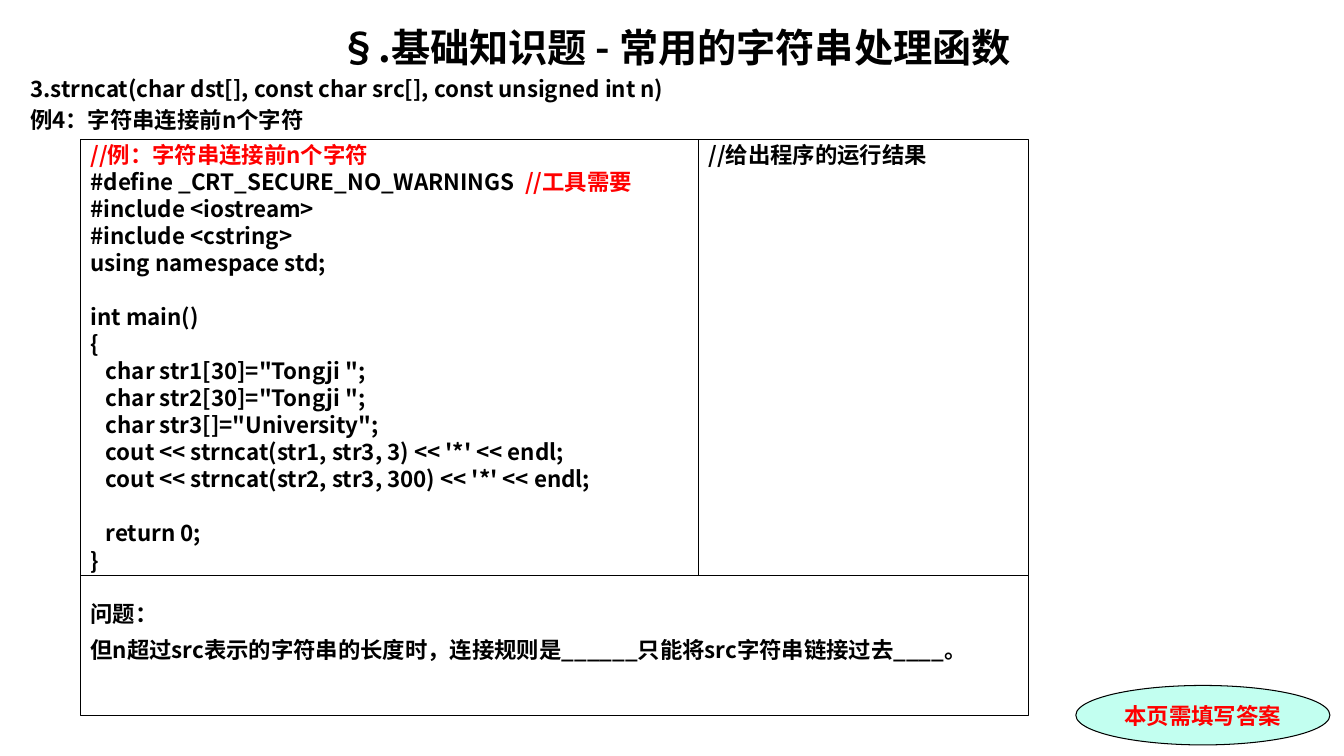
from pptx import Presentation, util as u
from pptx.dml.color import RGBColor
from pptx.enum import shapes, text
from pptx.oxml.ns import qn
from lxml import etree

BLACK = RGBColor(0, 0, 0)
RED = RGBColor(255, 0, 0)
MINT = RGBColor(0xC2, 0xFF, 0xF0)
SANS, SERIF = "Noto Sans CJK SC", "Times New Roman"
LEFT, ALIGN = text.PP_ALIGN.LEFT, text.PP_ALIGN
TOP, MIDDLE = text.MSO_ANCHOR.TOP, text.MSO_ANCHOR.MIDDLE
LINE = 19.3  # height of one text line in points

CODE = """#include <iostream>
#include <cstring>
using namespace std;

int main()
{
   char str1[30]="Tongji ";
   char str2[30]="Tongji ";
   char str3[]="University";
   cout << strncat(str1, str3, 3) << '*' << endl;
   cout << strncat(str2, str3, 300) << '*' << endl;

   return 0;
}"""


class Page:
    def __init__(self, slide, size=16):
        self.slide, self.size = slide, size

    def style(self, font, color, size, name):
        font.name, font.size, font.bold = name, u.Pt(size), True
        font.color.rgb = color

    def line(self, frame, words, color=BLACK, size=None, name=SANS,
             align=LEFT, gap=0):
        """Add one paragraph; words is a string or (string, color) pairs."""
        first = frame.paragraphs[0]
        para = first if not first.runs else frame.add_paragraph()
        para.alignment = align
        size = size or self.size
        para.line_spacing = u.Pt(LINE * size / 16)
        para.space_before = u.Pt(gap)
        mixed = not isinstance(words, str)
        for part, tint in words if mixed else [(words, color)]:
            run = para.add_run()
            run.text = part
            if mixed:
                run.font.color.rgb = tint
            east = etree.SubElement(run._r.get_or_add_rPr(), qn("a:ea"))
            east.set("typeface", SANS)
        self.style(para.font, color, size, name)

    def frame(self, shape, inset=0.05, anchor=TOP, wrap=False):
        frame = shape.text_frame
        frame.word_wrap, frame.vertical_anchor = wrap, anchor
        frame.margin_top = u.Inches(inset)
        return frame

    def label(self, *box):
        shape = self.slide.shapes.add_textbox(*map(u.Inches, box))
        return self.frame(shape, wrap=True)

    def shape(self, kind, box, fill=None, **opts):
        shape = self.slide.shapes.add_shape(kind, *map(u.Inches, box))
        shape.shadow.inherit = False
        if fill is None:
            shape.fill.background()
        else:
            shape.fill.solid()
            shape.fill.fore_color.rgb = fill
        shape.line.color.rgb, shape.line.width = BLACK, u.Pt(0.75)
        return self.frame(shape, **opts)


def main():
    deck = Presentation()
    deck.slide_width, deck.slide_height = u.Inches(13.33), u.Inches(7.5)
    page = Page(deck.slides.add_slide(deck.slide_layouts[6]))
    rect, oval = shapes.MSO_SHAPE.RECTANGLE, shapes.MSO_SHAPE.OVAL

    # Title and topic
    head = page.label(0.2, 0.18, 12.99, 1.2)
    page.line(head, "§.基础知识题 - 常用的字符串处理函数", size=28,
              align=ALIGN.CENTER)
    for topic in ("3.strncat(char dst[], const char src[], const unsigned int n)",
                  "例4：字符串连接前n个字符"):
        page.line(head, topic, gap=3.2)

    # Answer badge
    badge = page.shape(oval, (10.67, 6.8, 2.52, 0.59), MINT, anchor=MIDDLE)
    page.line(badge, "本页需填写答案", RED, name=SERIF, align=ALIGN.CENTER)

    # Program, where an empty code line becomes space before the next one
    code = page.shape(rect, (0.8, 1.38, 6.13, 4.33), inset=0.02)
    page.line(code, "//例：字符串连接前n个字符", RED)
    page.line(code, [("#define _CRT_SECURE_NO_WARNINGS", BLACK),
                     ("  //工具需要", RED)])
    gap = 0
    for row in CODE.split("\n"):
        if row:
            page.line(code, row, gap=gap)
        gap = 0 if row else LINE

    # Question
    ask = page.shape(rect, (0.8, 5.71, 9.4, 1.39), inset=0.24)
    page.line(ask, "问题：")
    page.line(ask, "但n超过src表示的字符串的长度时，连接规则是______"
              "只能将src字符串链接过去____。", gap=6.7)

    # Program output
    out = page.shape(rect, (6.93, 1.38, 3.27, 4.33), inset=0.02)
    page.line(out, "//给出程序的运行结果")

    deck.save("out.pptx")


if __name__ == "__main__":
    main()
